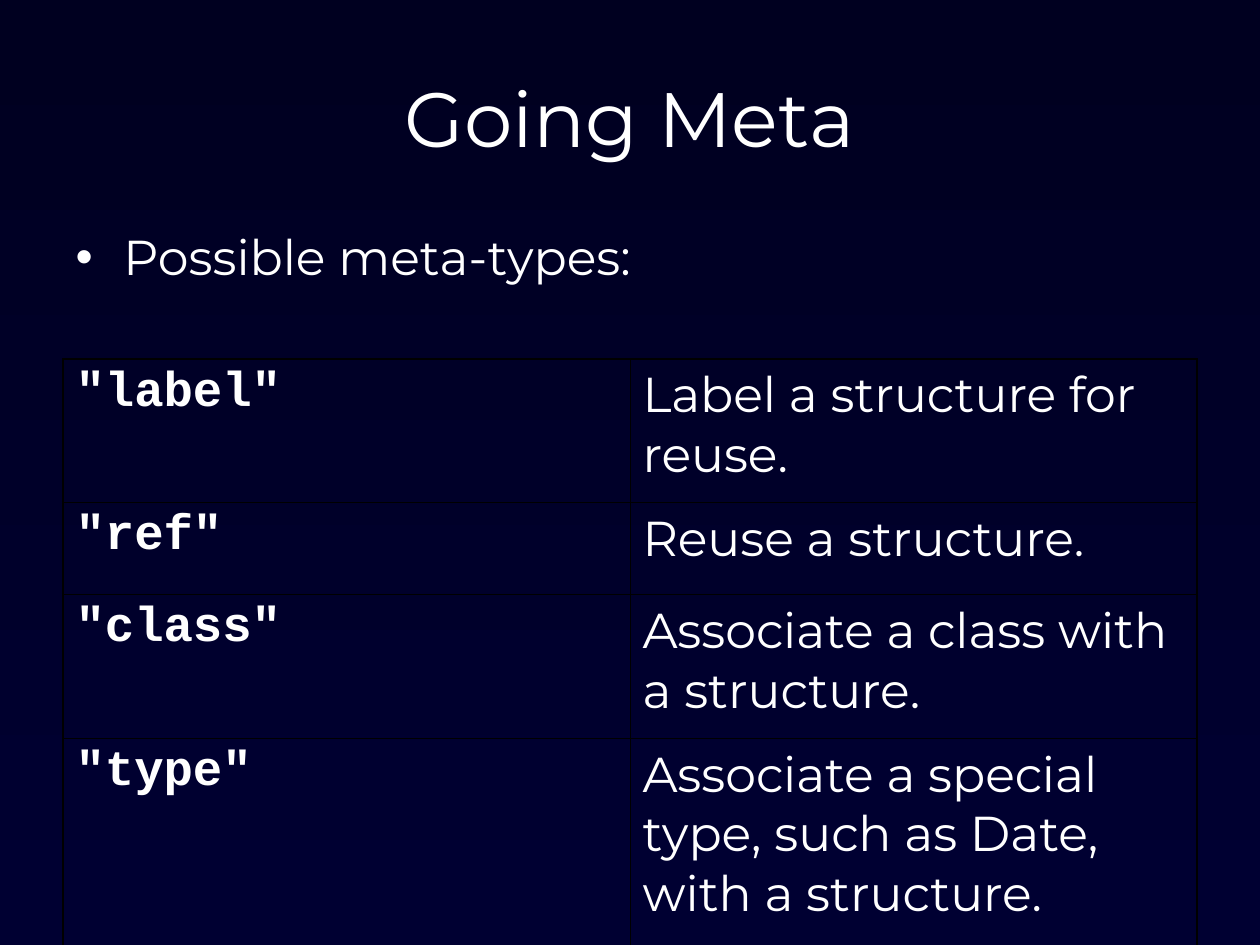
from lxml.etree import SubElement
from pptx import Presentation
from pptx.dml.color import RGBColor
from pptx.enum.text import MSO_ANCHOR, MSO_AUTO_SIZE, PP_ALIGN
from pptx.oxml.ns import qn
from pptx.util import Inches, Pt

WHITE, BLACK = "FFFFFF", "000000"
OUTER, INNER = 1.08, 0.45  # border widths in points
META_TYPES = [
    ('"label"', "Label a structure for reuse.", 1.14),
    ('"ref"', "Reuse a structure.", 0.73),
    ('"class"', "Associate a class with a structure.", 1.14),
    ('"type"', "Associate a special type, such as Date, with a structure.", 1.65),
]


def set_font(paragraph, size, name="Montserrat", bold=False, color=WHITE):
    font = paragraph.font
    font.size, font.name, font.bold = Pt(size), name, bold
    font.color.rgb = RGBColor.from_string(color)


def add_border(cell, side, width, color=BLACK):
    line = SubElement(cell._tc.get_or_add_tcPr(), qn(f"a:ln{side}"), w=str(Pt(width)))
    SubElement(SubElement(line, qn("a:solidFill")), qn("a:srgbClr"), val=color)


presentation = Presentation()
presentation.slide_width, presentation.slide_height = Inches(10), Inches(7.5)
slide = presentation.slides.add_slide(presentation.slide_layouts[1])
margin = presentation.slide_width // 20
content_width = presentation.slide_width - 2 * margin

# Background, dark at the top
background = slide.background.fill
background.gradient()
background.gradient_angle = 270
for stop, color in zip(background.gradient_stops, ("000020", "000032")):
    stop.color.rgb = RGBColor.from_string(color)

# Title and bullet
title, body = slide.placeholders
for shape, text, top, height, size in (
    (title, "Going Meta", 0.3, 1.25, 44),
    (body, "Possible meta-types:", 1.75, 2.71, 28),
):
    shape.left, shape.width = margin, content_width
    shape.top, shape.height = Inches(top), Inches(height)
    shape.text_frame.text = text
    shape.text_frame.auto_size = MSO_AUTO_SIZE.NONE
    paragraph = shape.text_frame.paragraphs[0]
    paragraph.space_before = Pt(0)
    if shape is body:
        properties = paragraph._p.get_or_add_pPr()
        properties.set("marL", str(Inches(0.38)))
        properties.set("indent", str(-Inches(0.38)))
        SubElement(properties, qn("a:buChar"), char="•")
    else:
        paragraph.alignment = PP_ALIGN.CENTER
        shape.text_frame.vertical_anchor = MSO_ANCHOR.MIDDLE
    set_font(paragraph, size)

# Table of meta-types
table_height = Inches(sum(height for _, _, height in META_TYPES))
table = slide.shapes.add_table(
    len(META_TYPES), 2, margin, Inches(2.85), content_width, table_height
).table
table.first_row = table.horz_banding = False
last_row = len(META_TYPES) - 1
for row, (name, meaning, height) in enumerate(META_TYPES):
    table.rows[row].height = Inches(height)
    for column, text in enumerate((name, meaning)):
        cell = table.cell(row, column)
        cell.text = text
        paragraph = cell.text_frame.paragraphs[0]
        if column == 0:
            set_font(paragraph, 28, "Courier New", bold=True)
        else:
            set_font(paragraph, 28)
        edges = {"L": column == 0, "R": column == 1, "T": row == 0, "B": row == last_row}
        for side, is_outer in edges.items():
            add_border(cell, side, OUTER if is_outer else INNER)
        cell.fill.background()

presentation.save("out.pptx")
